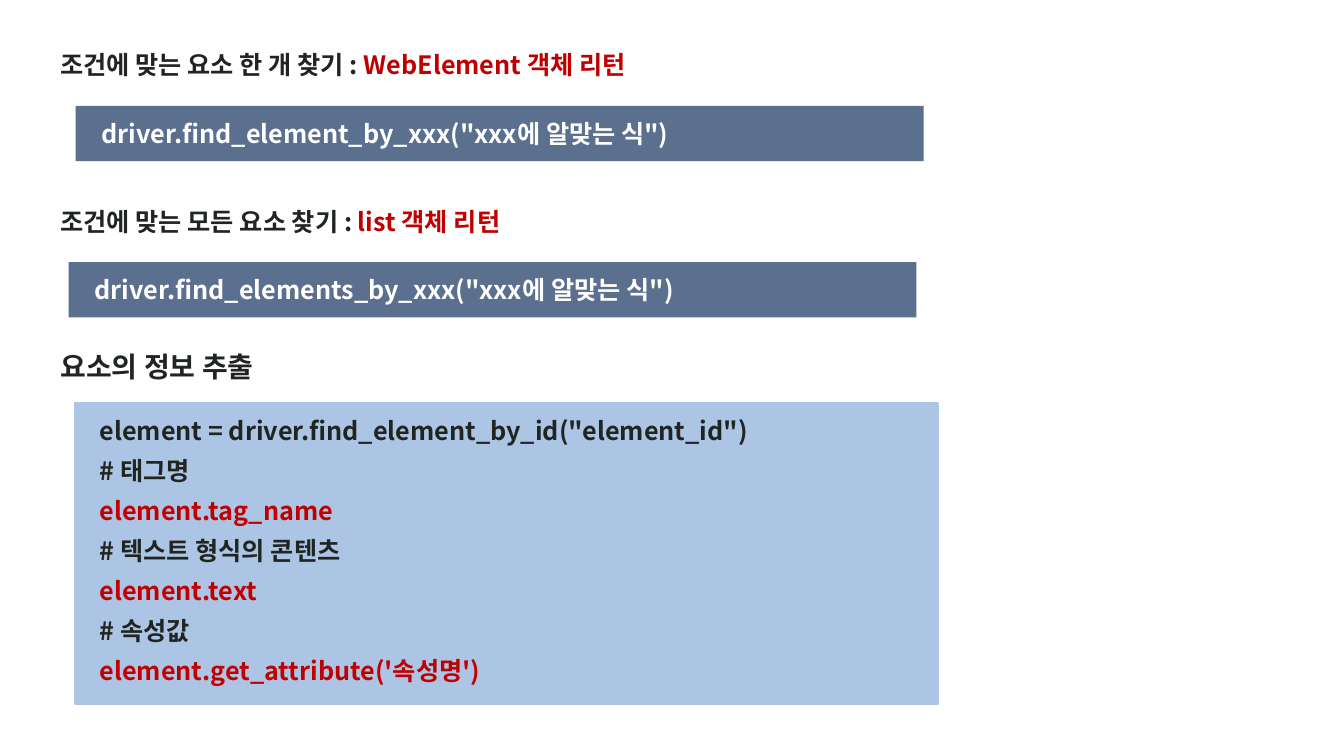
from lxml.etree import SubElement
from pptx import Presentation
from pptx.dml.color import RGBColor
from pptx.enum.shapes import MSO_SHAPE as Shape
from pptx.enum.text import MSO_AUTO_SIZE as Auto
from pptx.oxml.ns import qn
from pptx.util import Pt

PX = 9144
FONT = "Noto Sans CJK KR"
WHITE = RGBColor(0xFF, 0xFF, 0xFF)
INK = RGBColor(0x20, 0x25, 0x22)
RED = RGBColor(0xC0, 0x00, 0x00)
SLATE = RGBColor(0x5B, 0x6F, 0x8E)
SKY = RGBColor(0xAC, 0xC5, 0xE4)


class Deck:
    """Hold the style and the current slide, and draw panels and text on it."""

    def __init__(self, wide, high):
        self.show = Presentation()
        self.show.slide_width, self.show.slide_height = wide * PX, high * PX
        self.slide = self.show.slides.add_slide(self.show.slide_layouts[6])
        self.frame = {"word_wrap": True, "auto_size": Auto.SHAPE_TO_FIT_TEXT}
        self.font = {"name": FONT, "bold": True}

    def panel(self, box, fill, edge=0):
        item = self.slide.shapes.add_shape(Shape.RECTANGLE, *(n * PX for n in box))
        item.shadow.inherit = False
        item.fill.solid()
        item.fill.fore_color.rgb = fill
        if edge:
            item.line.color.rgb = fill
            item.line.width = Pt(edge)
        else:
            item.line.fill.background()

    def text(self, box, lines, size=18):
        frame = self.slide.shapes.add_textbox(*(n * PX for n in box)).text_frame
        for key, value in self.frame.items():
            setattr(frame, key, value)
        for row, parts in enumerate(lines):
            para = frame.add_paragraph() if row else frame.paragraphs[0]
            para.line_spacing = Pt(size * 1.2)
            para.space_before = Pt(7 if row else 0)
            for words, color in parts:
                self.run(para, words, color, size)

    def run(self, para, words, color, size):
        run = para.add_run()
        run.text = words
        for key, value in {**self.font, "size": Pt(size)}.items():
            setattr(run.font, key, value)
        run.font.color.rgb = color
        SubElement(run.font._element, qn("a:ea"), typeface=FONT)

    def save(self):
        self.show.save("out.pptx")


FINDS = [
    (44, 75, 105, "조건에 맞는 요소 한 개 찾기 : ", "WebElement 객체 리턴",
     'driver.find_element_by_xxx("xxx에 알맞는 식")'),
    (200, 68, 260, "조건에 맞는 모든 요소 찾기 : ", "list 객체 리턴",
     'driver.find_elements_by_xxx("xxx에 알맞는 식")'),
]
CODE = [
    ('element = driver.find_element_by_id("element_id")', INK),
    ("# 태그명", INK),
    ("element.tag_name", RED),
    ("# 텍스트 형식의 콘텐츠", INK),
    ("element.text", RED),
    ("# 속성값", INK),
    ("element.get_attribute('속성명')", RED),
]


def main():
    deck = Deck(1333, 750)
    for head, left, top, title, kind, call in FINDS:
        deck.panel((left, top, 841, 55), SLATE)
        deck.text((left + 16, top + 7, 827, 40), [[(call, WHITE)]])
        deck.text((50, head, 841, 40), [[(title, INK), (kind, RED)]])
    deck.text((50, 342, 882, 44), [[("요소의 정보 추출", INK)]], 20)
    deck.panel((74, 400, 856, 298), SKY, 1.5)
    deck.text((89, 407, 826, 281), [[line] for line in CODE])
    deck.save()


if __name__ == "__main__":
    main()
